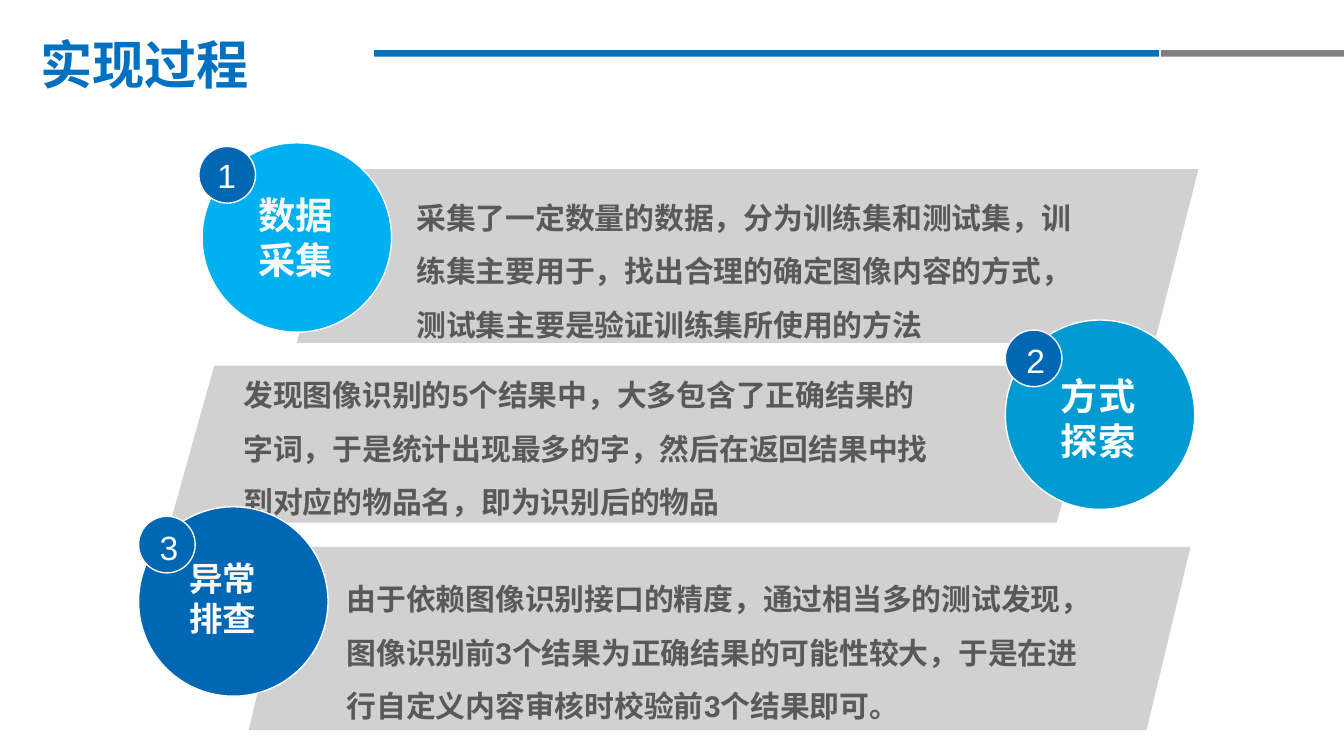
from dataclasses import dataclass

from pptx import Presentation
from pptx.dml.color import RGBColor
from pptx.enum.shapes import MSO_SHAPE
from pptx.enum.text import MSO_ANCHOR
from pptx.util import Cm, Pt

BLUE, GRAY, BAND = "0070C0", "7F7F7F", "D1D1D1"
BADGE, PALE, WHITE, BODY = "0067B4", "F8F8F8", "FFFFFF", "595959"
CIRCLE_SIZE, BADGE_SIZE, SLANT = 3.58, 1.07, 0.83


def color(value):
    return RGBColor.from_string(value)


@dataclass
class Painter:
    page: object
    font: str = "Arial"

    def finish(self, shape, fill, line=None):
        shape.shadow.inherit = False
        shape.fill.solid()
        shape.fill.fore_color.rgb = color(fill)
        if line:
            shape.line.color.rgb = color(line)
            shape.line.width = Pt(0.75)
        else:
            shape.line.fill.background()

    def bar(self, left, top, width, height, fill):
        shape = self.page.shapes.add_shape(
            MSO_SHAPE.RECTANGLE, Cm(left), Cm(top), Cm(width), Cm(height))
        self.finish(shape, fill)

    def circle(self, left, top, size, fill, line):
        shape = self.page.shapes.add_shape(
            MSO_SHAPE.OVAL, Cm(left), Cm(top), Cm(size), Cm(size))
        self.finish(shape, fill, line)

    def band(self, left, top, width, height):
        right, bottom = left + width, top + height
        builder = self.page.shapes.build_freeform(Cm(left + SLANT), Cm(top))
        corners = [(right, top), (right - SLANT, bottom), (left, bottom)]
        builder.add_line_segments([(Cm(x), Cm(y)) for x, y in corners], close=True)
        self.finish(builder.convert_to_shape(), BAND)

    def text(self, place, lines, size, ink, bold=True, wrap=False,
             inset=(0.25, 0.13), spacing=None):
        box = self.page.shapes.add_textbox(*[Cm(value) for value in place])
        frame = box.text_frame
        frame.word_wrap = wrap
        frame.vertical_anchor = MSO_ANCHOR.TOP
        frame.margin_left = frame.margin_right = Cm(inset[0])
        frame.margin_top = frame.margin_bottom = Cm(inset[1])
        for index, line in enumerate(lines):
            para = frame.add_paragraph() if index else frame.paragraphs[0]
            if spacing:
                para.line_spacing = spacing
            span = para.add_run()
            span.text = line
            span.font.name = self.font
            span.font.size = Pt(size)
            span.font.bold = bold
            span.font.color.rgb = color(ink)

    def step(self, number, item):
        self.circle(*item["circle"], CIRCLE_SIZE, item["fill"], WHITE)
        self.text(item["label_at"], item["label"], item["size"], item["ink"],
                  inset=(0.18, 0.1))
        self.circle(*item["badge"], BADGE_SIZE, BADGE, PALE)
        self.text((*item["number_at"], 0.86, 1.02), [str(number)], 18, WHITE,
                  bold=False)
        self.text(item["body_at"], [item["body"]], 16, BODY, wrap=True,
                  inset=(0, 0), spacing=1.5)


STEPS = [
    dict(band=(5.61, 3.2, 17.04, 3.28), circle=(3.82, 2.7), fill="00B0F0",
         label=["数据", "采集"], label_at=(4.7, 3.53, 1.8, 1.9), size=20, ink=PALE,
         badge=(3.76, 2.77), number_at=(3.86, 2.8), body_at=(7.87, 3.43, 12.65, 2.95),
         body="采集了一定数量的数据，分为训练集和测试集，训练集主要用于，"
              "找出合理的确定图像内容的方式，测试集主要是验证训练集所使用的方法"),
    dict(band=(3.22, 6.91, 17.58, 2.97), circle=(19, 6.05), fill="009BD2",
         label=["方式", "探索"], label_at=(19.87, 6.96, 1.8, 1.9), size=20, ink=WHITE,
         badge=(19, 6.24), number_at=(19.15, 6.3), body_at=(4.6, 6.78, 13.26, 2.95),
         body="发现图像识别的5个结果中，大多包含了正确结果的字词，"
              "于是统计出现最多的字，然后在返回结果中找到对应的物品名，即为识别后的物品"),
    dict(band=(4.7, 10.34, 17.8, 3.46), circle=(2.62, 9.58), fill=BADGE,
         label=["异常", "排查"], label_at=(3.4, 10.44, 1.63, 1.73), size=18, ink=PALE,
         badge=(2.62, 9.76), number_at=(2.77, 9.83), body_at=(6.55, 10.64, 13.92, 2.95),
         body="由于依赖图像识别接口的精度，通过相当多的测试发现，"
              "图像识别前3个结果为正确结果的可能性较大，"
              "于是在进行自定义内容审核时校验前3个结果即可。"),
]


def main():
    deck = Presentation()
    deck.slide_width, deck.slide_height = Cm(25.4), Cm(14.29)
    painter = Painter(deck.slides.add_slide(deck.slide_layouts[6]))
    painter.text((0.51, 0.48, 4.45, 1.42), ["实现过程"], 28, BLUE)
    painter.bar(7.07, 0.95, 14.84, 0.12, BLUE)
    painter.bar(21.94, 0.95, 3.46, 0.12, GRAY)
    for item in reversed(STEPS):
        painter.band(*item["band"])
    for number, item in enumerate(STEPS, 1):
        painter.step(number, item)
    deck.save("out.pptx")


if __name__ == "__main__":
    main()
